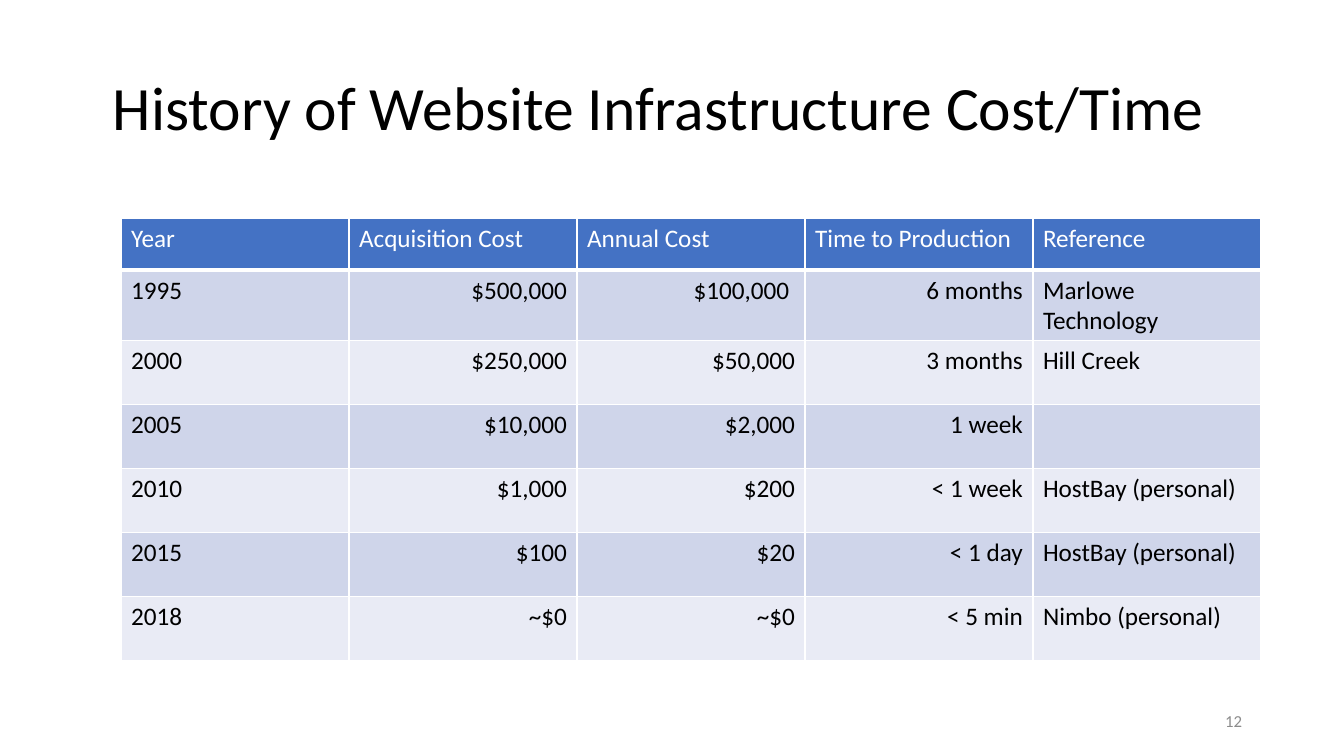
from lxml.etree import SubElement
from pptx import Presentation
from pptx.dml.color import RGBColor
from pptx.enum.text import MSO_ANCHOR as ANCHOR, PP_ALIGN as ALIGN
from pptx.oxml.ns import qn
from pptx.util import Inches, Pt

COLORS = {
    "text": "000000", "number": "8C8C8C", "white": "FFFFFF",
    "header": "4472C4", "odd": "CFD5EA", "even": "E9EBF5",
}
ROWS = [
    ["Year", "Acquisition Cost", "Annual Cost", "Time to Production", "Reference"],
    ["1995", "$500,000", "$100,000 ", "6 months", "Marlowe Technology"],
    ["2000", "$250,000", "$50,000", "3 months", "Hill Creek"],
    ["2005", "$10,000", "$2,000", "1 week", ""],
    ["2010", "$1,000", "$200", "< 1 week", "HostBay (personal)"],
    ["2015", "$100", "$20", "< 1 day", "HostBay (personal)"],
    ["2018", "~$0", "~$0", "< 5 min", "Nimbo (personal)"],
]


def px(n):
    return round(n * Inches(1) / 100.8)


class Deck:
    """Holds the slide style and draws each kind of element."""

    font = "Calibri"

    def __init__(self, width, height):
        self.prs = Presentation()
        self.prs.slide_width, self.prs.slide_height = px(width), px(height)
        self.s = self.prs.slides.add_slide(self.prs.slide_layouts[6])

    def paragraph(self, tf, text, size, color, align=ALIGN.LEFT):
        p = tf.paragraphs[0]
        p.text = text
        p.alignment = align
        p.font.name, p.font.size = self.font, Pt(size)
        p.font.color.rgb = RGBColor.from_string(COLORS[color])
        return p

    def text(self, box, text, size, color, align=ALIGN.LEFT):
        tf = self.s.shapes.add_textbox(*map(px, box)).text_frame
        tf.word_wrap = True
        tf.vertical_anchor = ANCHOR.MIDDLE
        return self.paragraph(tf, text, size, color, align)

    def borders(self, cell, bottom):
        tcPr = cell._tc.get_or_add_tcPr()
        for side, width in {"L": 1, "R": 1, "T": 1, "B": bottom}.items():
            ln = SubElement(tcPr, qn(f"a:ln{side}"), w=str(Pt(width)))
            fill = SubElement(ln, qn("a:solidFill"))
            SubElement(fill, qn("a:srgbClr"), val=COLORS["white"])

    def table(self, left, top, col_width, header_height, row_height, rows):
        n_rows, n_cols = len(rows), len(rows[0])
        height = header_height + row_height * (n_rows - 1)
        box = map(px, (left, top, col_width * n_cols, height))
        table = self.s.shapes.add_table(n_rows, n_cols, *box).table
        table.first_row = table.horz_banding = False
        for col in table.columns:
            col.width = px(col_width)
        for i, values in enumerate(rows):
            header = i == 0
            table.rows[i].height = px(header_height if header else row_height)
            fill = "header" if header else "odd" if i % 2 else "even"
            for j, value in enumerate(values):
                cell = table.cell(i, j)
                self.borders(cell, 3 if header else 1)
                cell.fill.solid()
                cell.fill.fore_color.rgb = RGBColor.from_string(COLORS[fill])
                align = ALIGN.RIGHT if not header and 0 < j < n_cols - 1 else ALIGN.LEFT
                self.paragraph(cell.text_frame, value, 18, "white" if header else "text", align)


def main():
    deck = Deck(1344, 756)
    title = deck.text((103, 31, 1176, 160), "History of Website Infrastructure Cost/Time", 44, "text")
    title.line_spacing = 0.9
    deck.text((950, 701, 302, 40), "12", 12, "number", ALIGN.RIGHT)
    deck.table(121, 218, 228, 52, 64, ROWS)
    deck.prs.save("out.pptx")


if __name__ == "__main__":
    main()
